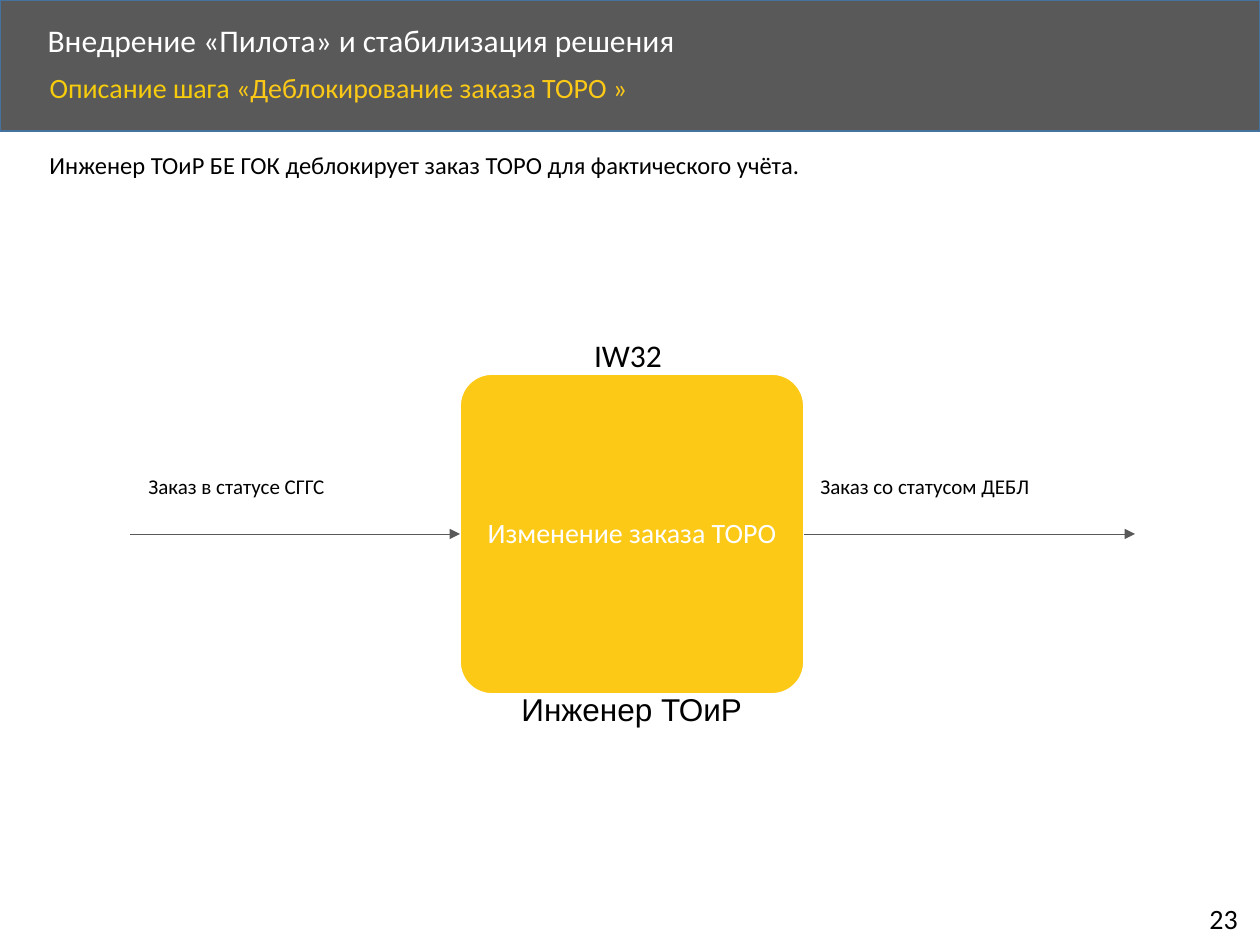
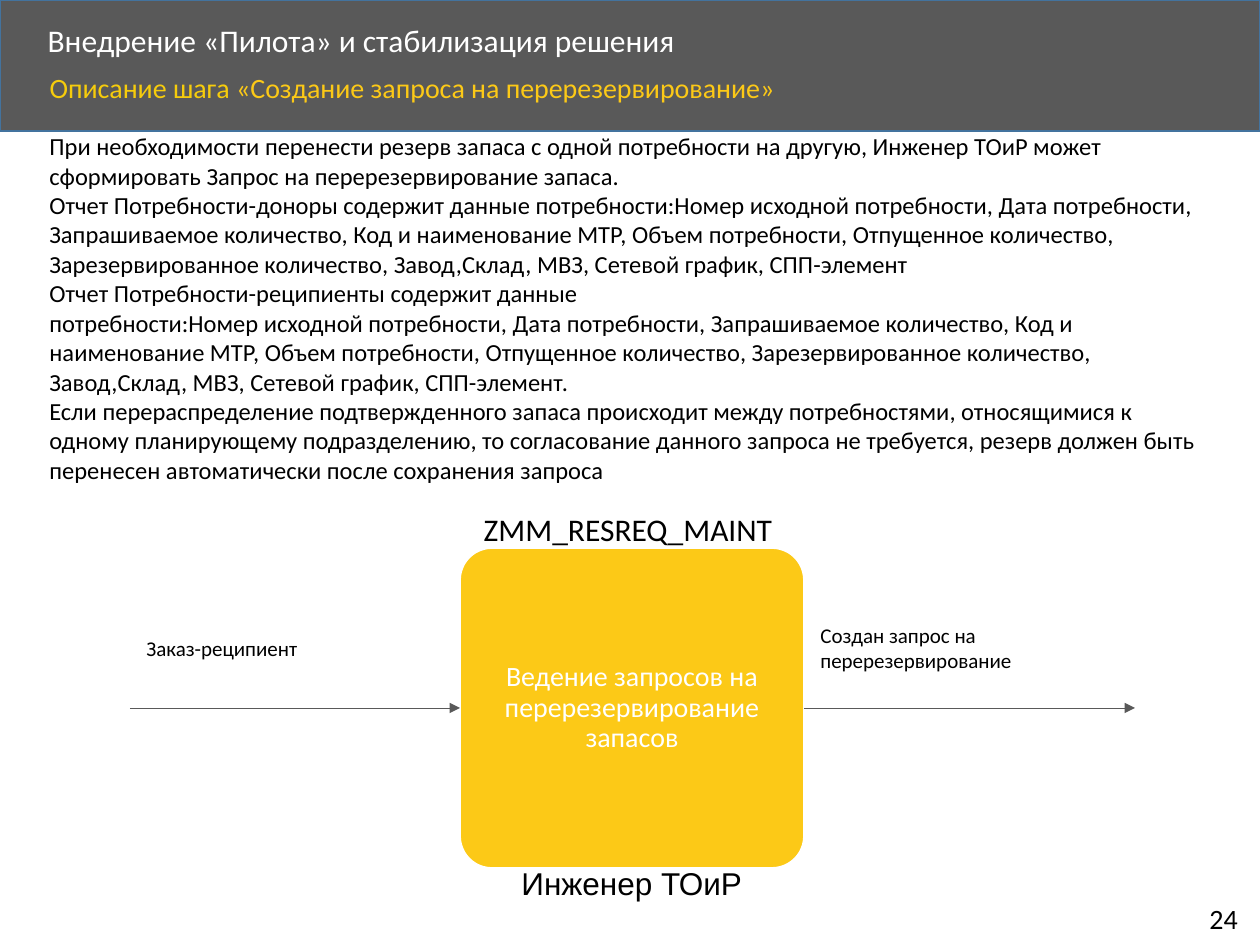
from dataclasses import dataclass

from lxml import etree
from pptx import Presentation
from pptx.dml.color import RGBColor
from pptx.enum.shapes import MSO_CONNECTOR, MSO_SHAPE
from pptx.enum.text import MSO_ANCHOR, MSO_AUTO_SIZE, PP_ALIGN
from pptx.oxml.ns import qn
from pptx.util import Emu, Pt

RECTANGLE = MSO_SHAPE.RECTANGLE
ROUNDED_RECTANGLE = MSO_SHAPE.ROUNDED_RECTANGLE
STRAIGHT = MSO_CONNECTOR.STRAIGHT
TOP, MIDDLE = MSO_ANCHOR.TOP, MSO_ANCHOR.MIDDLE
LEFT, CENTER = PP_ALIGN.LEFT, PP_ALIGN.CENTER
NO_AUTOFIT = MSO_AUTO_SIZE.NONE

PX_PER_INCH = 126
SLIDE_WIDTH, SLIDE_HEIGHT = 1260, 945
GRAY, BAND_EDGE = "595959", "43739E"
YELLOW, SUBTITLE_YELLOW = "FCC917", "F6CC0C"
WHITE, BLACK = "FFFFFF", "000000"
BODY_FONT, ROLE_FONT = "Calibri", "Arial"

SECTION_TITLE = "Внедрение «Пилота» и стабилизация решения"
SUBTITLE_PREFIX = "Описание шага "
ROLE = "Инженер ТОиР"


@dataclass(frozen=True)
class Box:
    left: int
    top: int
    width: int
    height: int


@dataclass(frozen=True)
class Run:
    text: str
    size: int
    color: str = BLACK
    font: str = BODY_FONT


@dataclass(frozen=True)
class FlowLabel:
    text: str
    box: Box


@dataclass(frozen=True)
class Step:
    number: int
    name: str
    description: list[str]
    description_box: Box
    transaction: str
    action: str
    process_top: int
    source: FlowLabel
    result: FlowLabel


STEPS = [
    Step(
        number=23,
        name="«Деблокирование заказа ТОРО »",
        description=["Инженер ТОиР БЕ ГОК деблокирует заказ ТОРО для фактического учёта."],
        description_box=Box(37, 144, 1192, 43),
        transaction="IW32",
        action="Изменение заказа ТОРО",
        process_top=374,
        source=FlowLabel("Заказ в статусе СГГС", Box(136, 467, 323, 38)),
        result=FlowLabel("Заказ со статусом ДЕБЛ", Box(808, 467, 324, 38)),
    ),
    Step(
        number=24,
        name="«Создание запроса на перерезервирование»",
        description=[
            "При необходимости перенести резерв запаса с одной потребности на другую, "
            "Инженер ТОиР может сформировать Запрос на перерезервирование запаса.",
            "Отчет Потребности-доноры содержит данные потребности:Номер исходной потребности, "
            "Дата потребности, Запрашиваемое количество, Код и наименование МТР, Объем потребности, "
            "Отпущенное количество, Зарезервированное количество, Завод,Склад, МВЗ, "
            "Сетевой график, СПП-элемент",
            "Отчет Потребности-реципиенты содержит данные",
            "потребности:Номер исходной потребности, Дата потребности, Запрашиваемое количество, "
            "Код и наименование МТР, Объем потребности, Отпущенное количество, "
            "Зарезервированное количество, Завод,Склад, МВЗ, Сетевой график, СПП-элемент.",
            "Если перераспределение подтвержденного запаса происходит между потребностями, "
            "относящимися к одному планирующему подразделению, то согласование данного запроса "
            "не требуется, резерв должен быть перенесен автоматически после сохранения запроса",
        ],
        description_box=Box(37, 125, 1192, 369),
        transaction="ZMM_RESREQ_MAINT",
        action="Ведение запросов на перерезервирование запасов",
        process_top=548,
        source=FlowLabel("Заказ-реципиент", Box(134, 629, 323, 38)),
        result=FlowLabel("Создан запрос на перерезервирование", Box(808, 616, 324, 63)),
    ),
]


def px(length: int) -> Emu:
    return Emu(round(length * 914400 / PX_PER_INCH))


def rgb(color: str) -> RGBColor:
    return RGBColor.from_string(color)


def place(shape, box: Box) -> None:
    shape.left, shape.top = px(box.left), px(box.top)
    shape.width, shape.height = px(box.width), px(box.height)


def write(shape, paragraphs: list[list[Run]], align=LEFT, anchor=TOP,
          spacing: float = 1.0, wrap: bool = True) -> None:
    frame = shape.text_frame
    frame.auto_size = NO_AUTOFIT
    frame.word_wrap = wrap
    frame.vertical_anchor = anchor
    for index, runs in enumerate(paragraphs):
        paragraph = frame.paragraphs[0] if index == 0 else frame.add_paragraph()
        paragraph.alignment = align
        paragraph.line_spacing = spacing
        paragraph.space_before = Pt(0)
        for item in runs:
            run = paragraph.add_run()
            run.text = item.text
            run.font.size = Pt(item.size)
            run.font.name = item.font
            run.font.color.rgb = rgb(item.color)


def add_text(slide, box: Box, paragraphs: list[list[Run]], align=LEFT, wrap: bool = True) -> None:
    shape = slide.shapes.add_textbox(px(box.left), px(box.top), px(box.width), px(box.height))
    write(shape, paragraphs, align, wrap=wrap)


def add_filled_shape(slide, kind, box: Box, fill: str, line: str):
    shape = slide.shapes.add_shape(kind, px(box.left), px(box.top), px(box.width), px(box.height))
    shape.shadow.inherit = False
    shape.fill.solid()
    shape.fill.fore_color.rgb = rgb(fill)
    shape.line.color.rgb = rgb(line)
    shape.line.width = Pt(1)
    return shape


def add_arrow(slide, start: int, end: int, y: int):
    arrow = slide.shapes.add_connector(STRAIGHT, px(start), px(y), px(end), px(y))
    arrow.line.color.rgb = rgb(GRAY)
    arrow.line.width = Pt(0.5)
    etree.SubElement(arrow.line._get_or_add_ln(), qn("a:tailEnd"), type="triangle")
    etree.SubElement(arrow._element.spPr, qn("a:effectLst"))
    return arrow


def add_header(slide, step: Step) -> None:
    band = add_filled_shape(slide, RECTANGLE, Box(0, 0, SLIDE_WIDTH, 131), GRAY, BAND_EDGE)
    # The band goes behind the placeholders
    slide.shapes._spTree.insert(2, band._element)

    title = slide.shapes.title
    place(title, Box(35, 18, 1017, 48))
    write(title, [[Run(SECTION_TITLE, 18, WHITE)]], anchor=MIDDLE, spacing=0.9)

    subtitle = slide.placeholders[1]
    place(subtitle, Box(37, 68, 1090, 57))
    properties = subtitle.text_frame.paragraphs[0]._p.get_or_add_pPr()
    properties.set("marL", "0")
    properties.set("indent", "0")
    etree.SubElement(properties, qn("a:buNone"))
    runs = [Run(SUBTITLE_PREFIX, 16, SUBTITLE_YELLOW), Run(step.name, 16, YELLOW)]
    write(subtitle, [runs], spacing=0.9)


def add_process(slide, step: Step) -> None:
    box = Box(460, step.process_top, 344, 320)
    process = add_filled_shape(slide, ROUNDED_RECTANGLE, box, YELLOW, WHITE)
    process.adjustments[0] = 0.1
    frame = process.text_frame
    frame.margin_left = frame.margin_right = px(9)
    frame.margin_top = frame.margin_bottom = px(1)
    write(process, [[Run(step.action, 16, WHITE)]], CENTER, MIDDLE, 0.9)

    # Incoming and outgoing flow
    middle = box.top + box.height // 2
    right = box.left + box.width
    add_arrow(slide, 130, box.left, middle).end_connect(process, 1)
    add_arrow(slide, right, 1135, middle).begin_connect(process, 3)
    for label in (step.source, step.result):
        add_text(slide, label.box, [[Run(label.text, 12)]])

    # Transaction above, role below
    add_text(slide, Box(466, box.top - 44, 324, 50), [[Run(step.transaction, 18)]], CENTER, wrap=False)
    add_text(slide, Box(509, box.top + 310, 248, 50), [[Run(ROLE, 18, font=ROLE_FONT)]])


def add_step_slide(presentation, step: Step) -> None:
    slide = presentation.slides.add_slide(presentation.slide_layouts[1])
    add_header(slide, step)
    add_text(slide, step.description_box, [[Run(text, 14)] for text in step.description])
    add_process(slide, step)
    add_text(slide, Box(1197, 895, 58, 47), [[Run(str(step.number), 16)]], wrap=False)


def main() -> None:
    presentation = Presentation()
    presentation.slide_width, presentation.slide_height = px(SLIDE_WIDTH), px(SLIDE_HEIGHT)
    for step in STEPS:
        add_step_slide(presentation, step)
    presentation.save("out.pptx")


if __name__ == "__main__":
    main()
